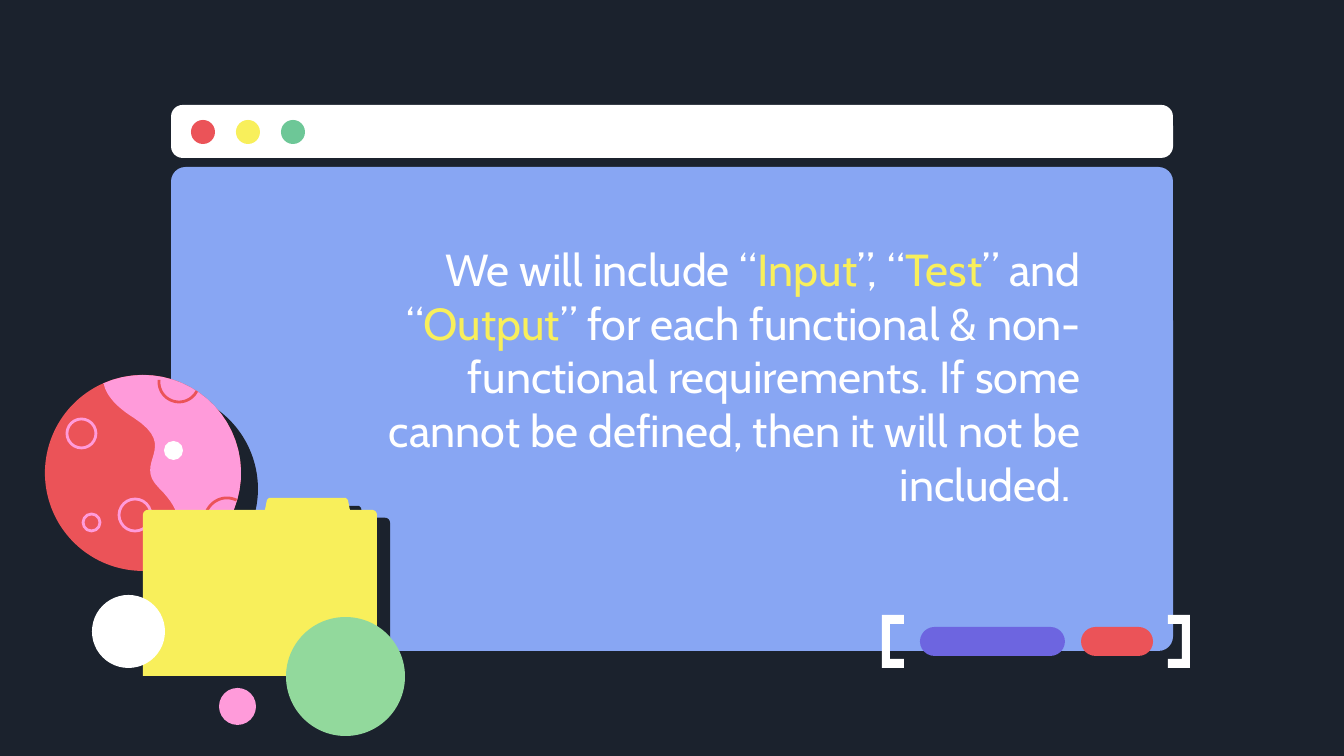
from math import cos, radians, sin

from lxml.etree import SubElement
from pptx import Presentation
from pptx.dml.color import RGBColor
from pptx.enum.shapes import MSO_SHAPE
from pptx.enum.text import MSO_ANCHOR, MSO_AUTO_SIZE, PP_ALIGN
from pptx.oxml.ns import qn
from pptx.util import Pt

PX = 9144000 / 1344
NIGHT, WHITE, BLUE, VIOLET = "1B222D", "FFFFFF", "88A6F3", "6D65E0"
RED, YELLOW, PINK = "EB5358", "F8EF5B", "FF9BDA"
TEAL, GREEN = "6DC797", "92D99C"


def emu(px):
    return round(px * PX)


def rgb(value):
    return RGBColor.from_string(value)


def arc(cx, cy, radius, start, end, steps=32):
    """Points on a circle; degrees run clockwise from three o'clock."""
    angles = [radians(start + (end - start) * i / steps) for i in range(steps + 1)]
    return [(cx + radius * cos(a), cy + radius * sin(a)) for a in angles]


def bezier(p0, p1, p2, p3, steps=16):
    """Points on a cubic curve, without its first point."""
    points = []
    for i in range(1, steps + 1):
        t = i / steps
        weights = ((1 - t) ** 3, 3 * t * (1 - t) ** 2, 3 * t * t * (1 - t), t ** 3)
        points.append(tuple(sum(w * p[axis] for w, p in zip(weights, (p0, p1, p2, p3)))
                            for axis in (0, 1)))
    return points


def write(paragraph, text, color=WHITE, size=24, font="Cabin"):
    run = paragraph.add_run()
    run.text = text
    run.font.name = font
    run.font.size = Pt(size)
    run.font.color.rgb = rgb(color)


class Canvas:
    def __init__(self, slide):
        self.slide = slide
        self.shapes = slide.shapes
        slide.background.fill.solid()
        slide.background.fill.fore_color.rgb = rgb(NIGHT)

    def paint(self, shape, fill=None, line=None, weight=1.5):
        shape.shadow.inherit = False
        if fill:
            shape.fill.solid()
            shape.fill.fore_color.rgb = rgb(fill)
        else:
            shape.fill.background()
        if line:
            shape.line.color.rgb = rgb(line)
            shape.line.width = Pt(weight)
        else:
            shape.line.fill.background()
        return shape

    def preset(self, kind, x, y, w, h, **colors):
        shape = self.shapes.add_shape(kind, emu(x), emu(y), emu(w), emu(h))
        return self.paint(shape, **colors)

    def circle(self, x, y, size, **colors):
        return self.preset(MSO_SHAPE.OVAL, x, y, size, size, **colors)

    def rounded(self, x, y, w, h, fill, corner=0.5):
        self.preset(MSO_SHAPE.ROUNDED_RECTANGLE, x, y, w, h, fill=fill).adjustments[0] = corner

    def outline(self, points, close=True, **colors):
        points = [(emu(x), emu(y)) for x, y in points]
        builder = self.shapes.build_freeform(*points[0])
        builder.add_line_segments(points[1:], close=close)
        return self.paint(builder.convert_to_shape(), **colors)

    def bracket(self, x, direction):
        """Square bracket with its spine at x; arms point right (1) or left (-1)."""
        spine, tip = x + 8 * direction, x + 22 * direction
        self.outline([(x, 615), (tip, 615), (tip, 624), (spine, 624),
                      (spine, 659), (tip, 659), (tip, 668), (x, 668)], fill=WHITE)

    def hard_shadow(self, shape, color, distance, angle):
        effects = shape.element.spPr.find(qn("a:effectLst"))
        shadow = SubElement(effects, qn("a:outerShdw"), blurRad="0", dist=str(Pt(distance)),
                            dir=str(angle * 60000), algn="bl", rotWithShape="0")
        SubElement(shadow, qn("a:srgbClr"), val=color)

    def body(self, placeholder, x, y, w, h, parts):
        """Fill the placeholder with (text, color) parts and bring it to the front."""
        placeholder.left, placeholder.top = emu(x), emu(y)
        placeholder.width, placeholder.height = emu(w), emu(h)
        frame = placeholder.text_frame
        frame.word_wrap = True
        frame.auto_size = MSO_AUTO_SIZE.NONE
        frame.vertical_anchor = MSO_ANCHOR.TOP
        frame.margin_left = frame.margin_right = Pt(7.2)
        frame.margin_top = frame.margin_bottom = Pt(7.2)
        paragraph = frame.paragraphs[0]
        paragraph.alignment = PP_ALIGN.RIGHT
        paragraph.space_before = Pt(0)
        paragraph.space_after = Pt(16)
        for text, color in parts:
            write(paragraph, text, color=color)
        placeholder.element.getparent().append(placeholder.element)


def draw_window(canvas):
    canvas.rounded(171, 105, 1002, 53, WHITE, corner=0.22)
    for i, color in enumerate((RED, YELLOW, TEAL)):
        canvas.circle(191 + 45 * i, 120, 24, fill=color)
    canvas.rounded(171, 167, 1002, 484, BLUE, corner=0.03)


def draw_planet(canvas):
    canvas.circle(62, 391, 196, fill=NIGHT)
    canvas.circle(45, 375, 196, fill=RED)
    for x, y, size in ((67, 419, 29), (119, 499, 32), (83, 514, 17)):
        canvas.circle(x, y, size, line=PINK)
    coast = (bezier((168, 568), (185, 530), (183, 512), (159, 488))
             + bezier((159, 488), (132, 462), (180, 448), (134, 418))
             + bezier((134, 418), (113, 405), (105, 392), (104, 384)))
    canvas.outline(arc(143, 473, 98, -114, 75) + coast, fill=PINK)
    for crater in (arc(179, 382, 20, 27, 186), arc(227, 520, 22, 120, 296)):
        canvas.outline(crater, close=False, line=RED)
    canvas.circle(164, 441, 19, fill=WHITE)


def draw_folder(canvas):
    tab = [(265, 510), (267, 500), (269, 498), (346, 498), (348, 500), (350, 510)]
    folder = canvas.outline([(377, 676), (143, 676)] + arc(148, 515, 5, 180, 270, 8)
                            + tab + arc(372, 515, 5, 270, 360, 8), fill=YELLOW)
    canvas.hard_shadow(folder, NIGHT, distance=8.2, angle=31)


def main():
    deck = Presentation()
    deck.slide_width, deck.slide_height = emu(1344), emu(756)
    slide = deck.slides.add_slide(deck.slide_layouts[0])
    title, statement = slide.placeholders
    title.element.getparent().remove(title.element)
    canvas = Canvas(slide)

    draw_window(canvas)
    draw_planet(canvas)
    draw_folder(canvas)
    canvas.body(statement, 340, 228, 754, 355, [
        ("We will include “", WHITE), ("Input", YELLOW), ("”, “", WHITE),
        ("Test", YELLOW), ("” and “", WHITE), ("Output", YELLOW),
        ("” for each functional & non-functional requirements. "
         "If some cannot be defined, then it will not be included. ", WHITE)])
    canvas.circle(286, 617, 119, fill=GREEN)
    canvas.bracket(882, 1)
    canvas.rounded(920, 627, 145, 29, VIOLET)
    canvas.rounded(1081, 627, 72, 29, RED)
    canvas.bracket(1190, -1)
    canvas.circle(92, 595, 73, fill=WHITE)
    canvas.circle(219, 688, 37, fill=PINK)

    deck.save("out.pptx")


if __name__ == "__main__":
    main()
